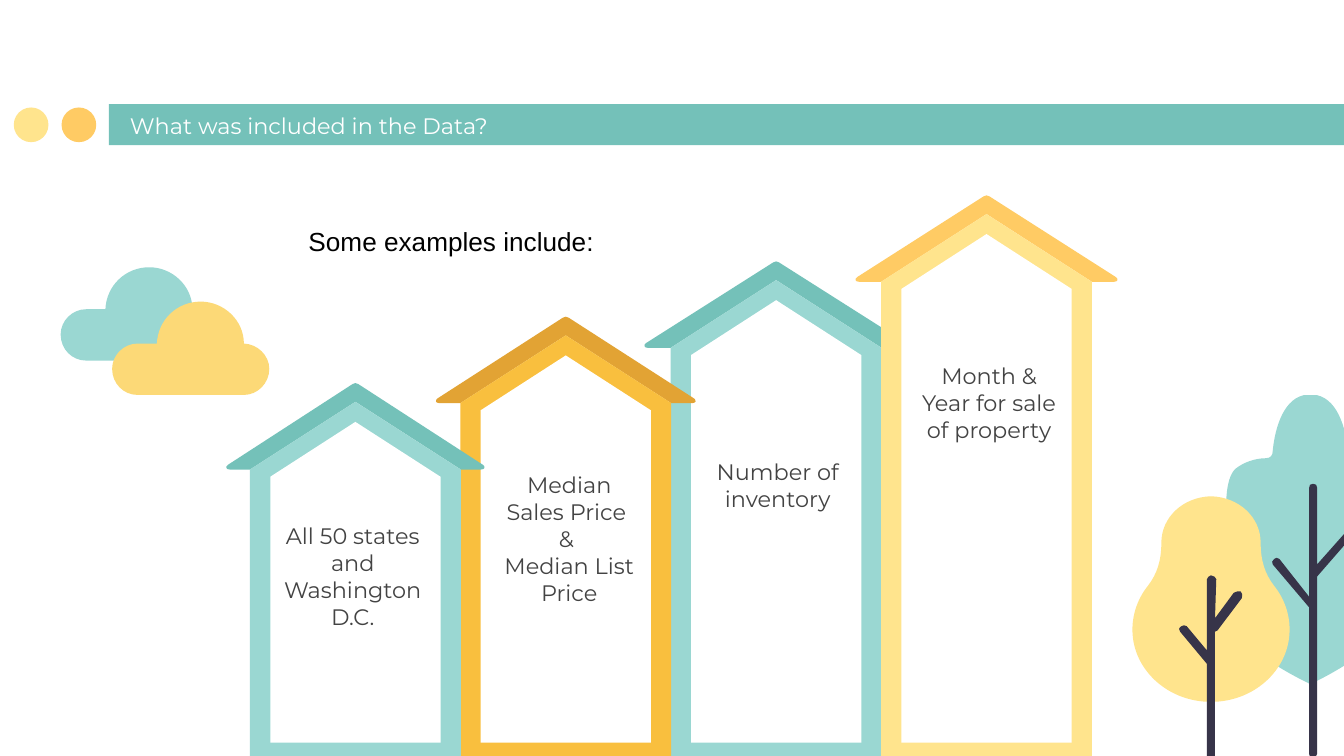
from dataclasses import dataclass

from lxml import etree
from pptx import Presentation
from pptx.dml.color import RGBColor
from pptx.enum.shapes import MSO_SHAPE as Preset
from pptx.enum.text import MSO_ANCHOR as Anchor, PP_ALIGN as Align
from pptx.oxml.ns import qn
from pptx.util import Pt


@dataclass(frozen=True)
class Theme:
    white: str = "FFFFFF"
    black: str = "000000"
    grey: str = "434343"
    teal: str = "74C1B9"
    light_teal: str = "9AD7D2"
    amber: str = "FFCB64"
    light_yellow: str = "FFE48D"
    ochre: str = "E2A334"
    gold: str = "F9BF3E"
    cloud_yellow: str = "FCD977"
    trunk: str = "373449"
    font: str = "Montserrat"
    plain_font: str = "Arial"
    body_size: int = 12
    lead_size: int = 14


THEME = Theme()
GROUND = 405

# Outlines: a pair is a corner; six numbers are a Bezier curve from the last point.
CLOUD = [(47.5, 0), (34.6, 0, 24.5, 10, 24, 22.5), (13.7, 22.5),
         (6.1, 22.5, 0, 28.8, 0, 36), (0, 43.9, 6.1, 50, 13.7, 50), (70.6, 50),
         (77.8, 50, 84.2, 43.9, 84.2, 36), (84.2, 28.8, 77.8, 22.7, 70.6, 22.5),
         (70.6, 10, 59.8, 0, 47.5, 0)]
TALL_CROWN_HALF = [(0, 211.7), (-0.7, 211.7, -2.2, 211.7, -3.6, 211.7),
                   (-15.8, 214.6, -19.4, 232.6, -20.2, 241.9),
                   (-20.2, 244.1, -21.6, 245.5, -23.8, 245.5),
                   (-29.5, 245.5, -36, 247.7, -40.3, 251.3),
                   (-46.1, 257, -45.4, 273.6, -44.6, 282.2),
                   (-44.6, 284.4, -46.1, 286.6, -49, 286.6),
                   (-56.9, 286.6, -59.8, 295.2, -59.8, 295.2),
                   (-74.9, 328.3, -9.4, 362.2, -1.4, 365.8),
                   (-0.7, 366.5, 0, 366.5, 0, 366.5)]
ROUND_CROWN_HALF = [(0, 265.9), (-15.1, 266.4, -26.6, 277.2, -26.6, 290.9),
                    (-26.6, 300.2, -28.8, 307.4, -33.8, 313.9),
                    (-39.6, 321.1, -43.2, 331.2, -41.8, 342),
                    (-39.6, 359.3, -24.5, 373.7, -5, 375.8),
                    (-3.6, 376, -1.4, 376, 0, 376)]
TALL_TRUNK = [(703.4, 259.2), (702, 259.2, 701.3, 259.9, 701.3, 261.4), (701.3, 319.7),
              (685.4, 299.5), (684.7, 298.8, 683, 298.5, 682.6, 299.5),
              (681.5, 300.2, 681.1, 301.7, 681.8, 302.4), (701.3, 325.4), (701.3, 403.9),
              (701.3, 405.4, 702, 406.1, 703.4, 406.1),
              (704.2, 406.1, 705.6, 405.4, 705.6, 403.9), (705.6, 308.9), (725, 286.6),
              (725.8, 285.8, 725, 284.4, 724.3, 283.7),
              (723.6, 283, 722.5, 283, 722.2, 283.7), (705.6, 302.4), (705.6, 261.4),
              (705.6, 259.9, 704.9, 259.2, 703.4, 259.2)]
SHORT_TRUNK = [(648.7, 308.2), (648, 308.2, 646.6, 309.6, 646.6, 310.3), (646.6, 348.5),
               (635.8, 335.5), (635, 334.8, 633.6, 334.8, 632.9, 335.5),
               (631.4, 336.2, 631.4, 337.7, 632.2, 338.4), (646.6, 355.7), (646.6, 410.4),
               (646.6, 411.1, 647.3, 412.6, 648.7, 412.6),
               (650.2, 412.6, 650.9, 411.1, 650.9, 410.4), (650.9, 338.4),
               (651.6, 338.4, 651.6, 337.7, 652.3, 337.7), (665.3, 320.4),
               (666, 319, 665.3, 317.5, 664.6, 316.8),
               (663.8, 316.8, 661.7, 316.8, 661, 317.5), (650.9, 331.2), (651.6, 310.3),
               (651.6, 309.6, 650.2, 308.2, 648.7, 308.2)]


def mirrored(half):
    """Close a curved left half with its reflection in the vertical axis."""
    reflection = []
    for previous, (x1, y1, x2, y2, _, _) in reversed(list(zip(half, half[1:]))):
        end_x, end_y = previous[-2:]
        reflection.append((-x2, y2, -x1, y1, -end_x, end_y))
    return half + reflection


def paint(shape, color):
    shape.shadow.inherit = False
    shape.fill.solid()
    shape.fill.fore_color.rgb = RGBColor.from_string(color)
    shape.line.fill.background()


def add_preset(slide, preset, left, top, width, height, color):
    paint(slide.shapes.add_shape(preset, Pt(left), Pt(top), Pt(width), Pt(height)), color)


def bend(shape, outline):
    """Join the three segments that stand for each curve into one Bezier."""
    segments = iter(list(shape.element.iter(qn("a:lnTo"))))
    for step in outline[1:]:
        group = [next(segments) for _ in range(len(step) // 2)]
        if len(group) == 3:
            curve = etree.Element(qn("a:cubicBezTo"))
            group[0].addprevious(curve)
            for segment in group:
                curve.append(segment[0])
                segment.getparent().remove(segment)


def add_outline(slide, outline, color, left=0, top=0):
    points = [(Pt(left + x), Pt(top + y))
              for step in outline for x, y in zip(step[::2], step[1::2])]
    builder = slide.shapes.build_freeform(*points[0])
    builder.add_line_segments(points[1:], close=True)
    shape = builder.convert_to_shape()
    bend(shape, outline)
    paint(shape, color)


def add_text(slide, lines, left, top, width, height, color, font=THEME.font,
             size=THEME.body_size, align=Align.LEFT, anchor=Anchor.TOP,
             insets=(7.2, 7.2, 7.2, 7.2)):
    frame = slide.shapes.add_textbox(Pt(left), Pt(top), Pt(width), Pt(height)).text_frame
    frame.word_wrap = True
    frame.vertical_anchor = anchor
    frame.margin_left, frame.margin_top, frame.margin_right, frame.margin_bottom = map(Pt, insets)
    frame.text = "\n".join(lines)
    for paragraph in frame.paragraphs:
        paragraph.alignment = align
        paragraph.font.name = font
        paragraph.font.size = Pt(size)
        paragraph.font.color.rgb = RGBColor.from_string(color)


def roof_outline(tip):
    """Roof with rounded ends that reach as far as tip on both sides."""
    return [(2.5 - tip, 0), (-56.5, 0), (0, -36.3), (56.5, 0), (tip - 2.5, 0),
            (tip - 0.5, 0, tip, -1.5, tip - 1.5, -2.5), (1.5, -45.8),
            (0.7, -46.5, -0.7, -46.5, -1.5, -45.8), (1.5 - tip, -2.5),
            (-tip, -1.5, 0.5 - tip, 0, 2.5 - tip, 0)]


def add_house(slide, center, eave, tip, roof_color, wall_color):
    def gable(half_width, shoulder, apex, floor):
        return [(half_width, shoulder), (half_width, floor), (-half_width, floor),
                (-half_width, shoulder), (0, apex)]

    add_outline(slide, roof_outline(tip), roof_color, center, eave)
    add_outline(slide, gable(56.5, 0, -36.3, GROUND - eave), wall_color, center, eave)
    add_outline(slide, gable(45.6, 3.8, -25.6, GROUND - 7.2 - eave), THEME.white, center, eave)


def add_header(slide):
    add_preset(slide, Preset.RECTANGLE, 58.4, 55.8, 684, 22, THEME.teal)
    for left, color in ((33, THEME.amber), (7.4, THEME.light_yellow)):
        add_preset(slide, Preset.OVAL, left, 57.6, 18.6, 18.6, color)


def add_houses(slide):
    first_center, pitch = 190.4, 112.7
    for column, eave, tip, roof, wall in (
            (2, 186.4, 71.2, THEME.teal, THEME.light_teal),
            (3, 151, 70.8, THEME.amber, THEME.light_yellow),
            (1, 216, 70.2, THEME.ochre, THEME.gold),
            (0, 251.6, 69.8, THEME.teal, THEME.light_teal)):
        add_house(slide, first_center + column * pitch, eave, tip, roof, wall)


def add_labels(slide):
    for lines, left, top, width in (
            (["Month & Year for sale of property"], 492.8, 193.5, 74.2),
            (["Number of inventory"], 379.6, 244.9, 74.2),
            (["Median Sales Price ", "& ", "Median List Price"], 267.9, 251.7, 74.2),
            (["All 50 states and Washington D.C."], 147.6, 279.2, 82.8)):
        add_text(slide, lines, left, top, width, 85.7, THEME.grey,
                 align=Align.CENTER, insets=(0, 0.72, 0, 0))


def add_trees(slide):
    add_outline(slide, mirrored(TALL_CROWN_HALF), THEME.light_teal, left=702)
    add_outline(slide, TALL_TRUNK, THEME.trunk)
    add_outline(slide, mirrored(ROUND_CROWN_HALF), THEME.light_yellow, left=648.8)
    add_outline(slide, SHORT_TRUNK, THEME.trunk)


def main():
    presentation = Presentation()
    presentation.slide_width, presentation.slide_height = Pt(720), Pt(GROUND)
    slide = presentation.slides.add_slide(presentation.slide_layouts[6])
    add_header(slide)
    add_houses(slide)
    add_text(slide, ["What was included in the Data?"], 62.5, 57.3, 394.6, 24.5,
             THEME.white, anchor=Anchor.BOTTOM)
    add_labels(slide)
    add_trees(slide)
    for left, top, color in ((32.5, 143.2, THEME.light_teal), (60.1, 161.6, THEME.cloud_yellow)):
        add_outline(slide, CLOUD, color, left, top)
    add_text(slide, ["Some examples include:"], 158.2, 117.4, 237.6, 24.2, THEME.black,
             font=THEME.plain_font, size=THEME.lead_size, insets=(7.2, 3.6, 7.2, 3.6))
    presentation.save("out.pptx")


if __name__ == "__main__":
    main()
